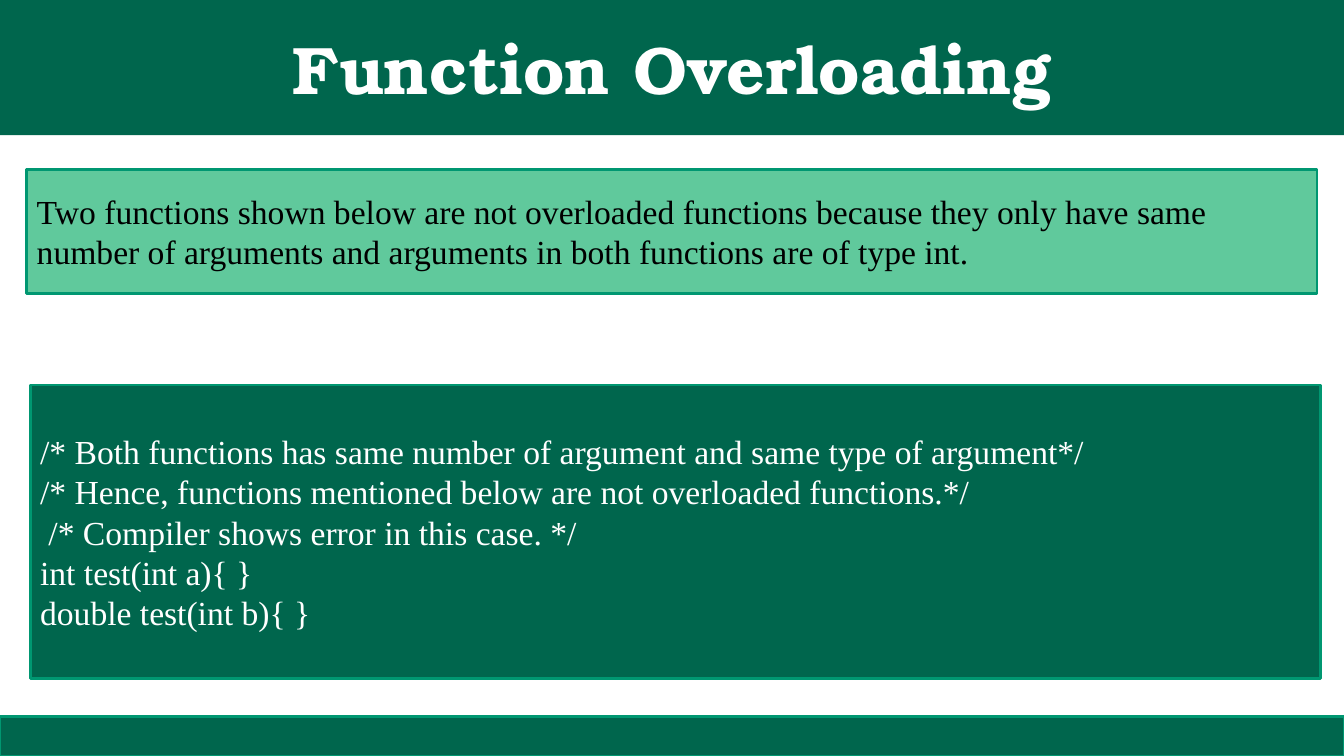
from pptx import Presentation
from pptx.dml.color import RGBColor
from pptx.enum.shapes import MSO_SHAPE
from pptx.enum.text import MSO_ANCHOR, PP_ALIGN
from pptx.util import Pt

# Content
TITLE = ["Function Overloading"]
EXPLANATION = [
    "Two functions shown below are not overloaded functions because they only "
    "have same number of arguments and arguments in both functions are of type int.",
]
CODE = [
    "/* Both functions has same number of argument and same type of argument*/",
    "/* Hence, functions mentioned below are not overloaded functions.*/",
    " /* Compiler shows error in this case. */",
    "int test(int a){ }",
    "double test(int b){ }",
]

# Look, with lengths in points
WIDTH, HEIGHT = 960, 540
TITLE_HEIGHT, FOOTER_HEIGHT = 96.5, 28
BOX_WIDTH = 921.6
DARK, LIGHT, EDGE = "00664D", "60C99C", "009771"
WHITE, BLACK = "FFFFFF", "000000"


def color(hex_text):
    return RGBColor.from_string(hex_text)


def add_box(slide, left, top, width, height, fill, edge=EDGE):
    shape = slide.shapes.add_shape(
        MSO_SHAPE.RECTANGLE, Pt(left), Pt(top), Pt(width), Pt(height))
    shape.shadow.inherit = False
    shape.fill.solid()
    shape.fill.fore_color.rgb = color(fill)
    if edge:
        shape.line.color.rgb = color(edge)
        shape.line.width = Pt(2)
    else:
        shape.line.fill.background()
    return shape


def write_text(shape, lines, size=24, font="Times New Roman", text_color=WHITE,
               bold=False, align=PP_ALIGN.LEFT):
    frame = shape.text_frame
    frame.word_wrap = True
    frame.vertical_anchor = MSO_ANCHOR.MIDDLE
    for index, line in enumerate(lines):
        paragraph = frame.add_paragraph() if index else frame.paragraphs[0]
        paragraph.alignment = align
        run = paragraph.add_run()
        run.text = line
        run.font.size = Pt(size)
        run.font.name = font
        run.font.bold = bold
        run.font.color.rgb = color(text_color)


def main():
    presentation = Presentation()
    presentation.slide_width, presentation.slide_height = Pt(WIDTH), Pt(HEIGHT)
    slide = presentation.slides.add_slide(presentation.slide_layouts[6])

    # Title band and footer band
    title = add_box(slide, 0, 0, WIDTH, TITLE_HEIGHT, DARK, edge=None)
    write_text(title, TITLE, size=48, font="TeX Gyre Bonum", bold=True,
               align=PP_ALIGN.CENTER)
    add_box(slide, 0, HEIGHT - FOOTER_HEIGHT, WIDTH, FOOTER_HEIGHT, DARK)

    # Explanation and code
    explanation = add_box(slide, (WIDTH - BOX_WIDTH) / 2, 121, BOX_WIDTH, 88.5, LIGHT)
    write_text(explanation, EXPLANATION, text_color=BLACK)
    code = add_box(slide, 21.6, 275, BOX_WIDTH, 209.5, DARK)
    write_text(code, CODE)

    presentation.save("out.pptx")


if __name__ == "__main__":
    main()
